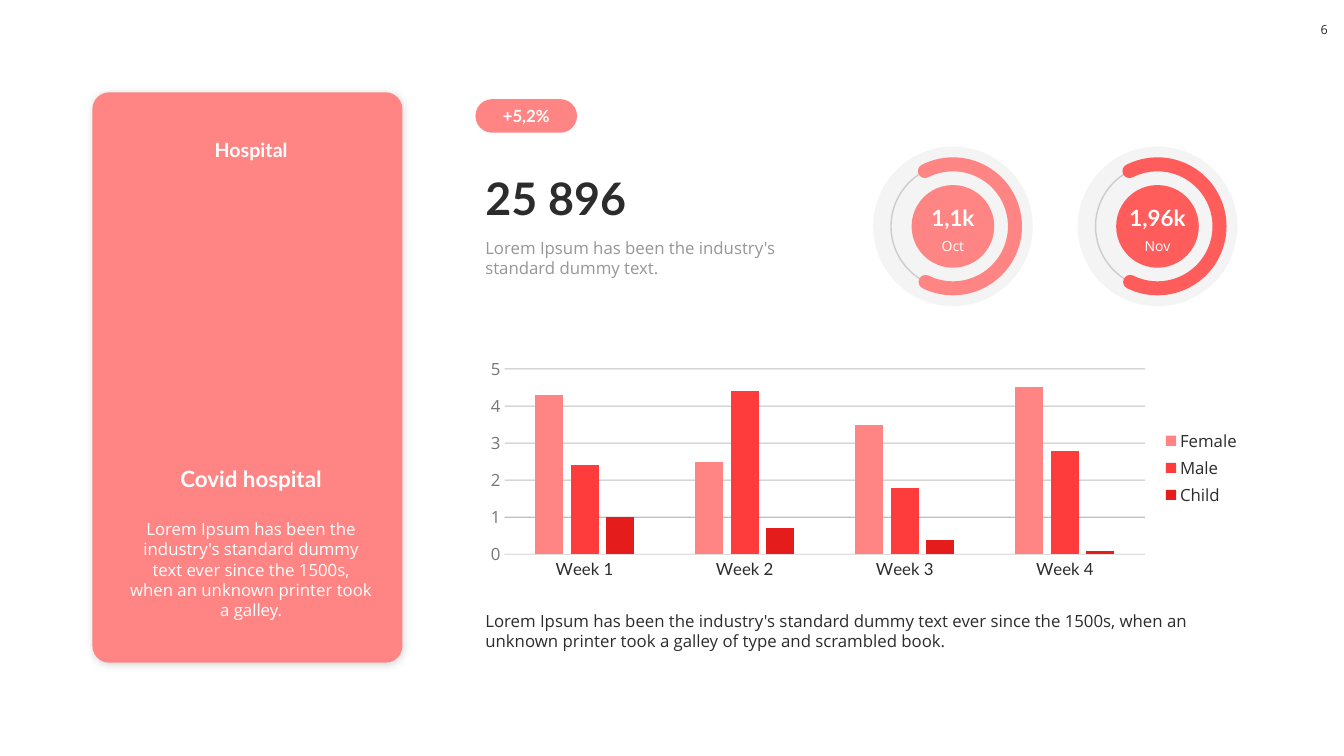
from dataclasses import dataclass

from lxml import etree
from pptx import Presentation
from pptx.chart.data import CategoryChartData
from pptx.dml.color import RGBColor
from pptx.enum.chart import XL_CHART_TYPE, XL_LEGEND_POSITION, XL_TICK_MARK
from pptx.enum.shapes import MSO_SHAPE
from pptx.enum.text import MSO_ANCHOR, MSO_AUTO_SIZE, PP_ALIGN
from pptx.oxml.ns import qn
from pptx.util import Inches, Pt


@dataclass(frozen=True)
class Theme:
    head: str = "Lato"
    body: str = "Open Sans"
    white: str = "FFFFFF"
    ink: str = "2C2C2C"
    grey: str = "969696"
    axis_grey: str = "767676"
    axis_line: str = "DFDFDF"
    coral: str = "FF8585"
    rose: str = "FF5C5C"
    red: str = "FF3C3C"
    crimson: str = "E41C1C"
    tiny: int = 9
    small: int = 10
    text: int = 12
    label: int = 14
    title: int = 16
    figure: int = 32


T = Theme()
COLUMNS, ROWS = 160, 90
CENTER = PP_ALIGN.CENTER


def rgb(value):
    return RGBColor.from_string(value)


def set_font(font, size=T.text, face=T.body, color=T.ink, bold=False):
    font.size, font.name, font.bold = Pt(size), face, bold
    font.color.rgb = rgb(color)


def set_alpha(element, percent):
    for clr in element.iter(qn("a:srgbClr")):
        etree.SubElement(clr, qn("a:alpha"), val=str(percent * 1000))


def write(sp, text, align=PP_ALIGN.LEFT, anchor=MSO_ANCHOR.TOP,
          margins=(0.1, 0.05), wrap=True, **font):
    """Fill a shape with one formatted paragraph; margins are inches (x, y)."""
    tf = sp.text_frame
    tf.word_wrap, tf.auto_size = wrap, MSO_AUTO_SIZE.NONE
    tf.vertical_anchor = anchor
    tf.margin_left = tf.margin_right = Inches(margins[0])
    tf.margin_top = tf.margin_bottom = Inches(margins[1])
    p = tf.paragraphs[0]
    p.alignment = align
    r = p.add_run()
    r.text = text
    set_font(r.font, **font)


class Dashboard:
    def __init__(self, prs):
        self.s = prs.slides.add_slide(prs.slide_layouts[5])
        self.col = prs.slide_width / COLUMNS
        self.row = prs.slide_height / ROWS

    def box(self, x, y, w, h):
        return (round(x * self.col), round(y * self.row),
                round(w * self.col), round(h * self.row))

    def shape(self, kind, at, fill=None, line=None, width=1, adj=(), alpha=None):
        sp = self.s.shapes.add_shape(kind, *self.box(*at))
        sp.shadow.inherit = False
        for i, value in enumerate(adj):
            sp.adjustments[i] = value
        if fill:
            sp.fill.solid()
            sp.fill.fore_color.rgb = rgb(fill)
        else:
            sp.fill.background()
        if line:
            sp.line.color.rgb = rgb(line)
            sp.line.width = Pt(width)
        else:
            sp.line.fill.background()
        if alpha:
            set_alpha(sp.element, alpha)
        return sp

    def text(self, at, text, **style):
        write(self.s.shapes.add_textbox(*self.box(*at)), text, **style)

    def title(self, at, text, **style):
        sp = self.s.shapes.title
        sp.left, sp.top, sp.width, sp.height = self.box(*at)
        write(sp, text, **style)

    def card(self, at):
        """Draw the shadowed panel behind the title."""
        sp = self.shape(MSO_SHAPE.ROUNDED_RECTANGLE, at, T.coral, adj=[0.054])
        effects = sp.element.find(".//" + qn("a:effectLst"))
        shadow = etree.SubElement(effects, qn("a:outerShdw"), blurRad=str(Pt(6)),
                                  dist=str(Pt(1)), dir=str(45 * 60000))
        etree.SubElement(shadow, qn("a:srgbClr"), val="000000")
        set_alpha(shadow, 15)
        self.s.shapes.title.element.addprevious(sp.element)

    def ring(self, cx, cy, value, month, color):
        def circle(d):
            return cx - d / 2, cy - d / 2, d, d

        outer, track, core = 19, 14.76, 9.84
        self.shape(MSO_SHAPE.OVAL, circle(outer), T.ink, alpha=5)
        self.shape(MSO_SHAPE.OVAL, circle(track), line=T.ink, alpha=20)
        # Arc adjustments are angles in units of 5/3 degree.
        arc = self.shape(MSO_SHAPE.ARC, circle(track), line=color, width=10,
                         adj=[243.08 * 0.6, 116.19 * 0.6])
        arc.element.find(".//" + qn("a:ln")).set("cap", "rnd")
        self.shape(MSO_SHAPE.OVAL, circle(core), color)
        left = cx - core / 2
        self.text((left, cy - 3.2, core, 4.4), value, align=CENTER, size=T.title,
                  anchor=MSO_ANCHOR.BOTTOM, face=T.head, color=T.white, bold=True)
        self.text((left, cy + 0.75, core, 3.2), month, align=CENTER,
                  size=T.small, color=T.white)

    def column_chart(self, at, categories, series):
        """Draw clustered columns; series maps a name to (colour, values)."""
        data = CategoryChartData()
        data.categories = categories
        for name, (_, values) in series.items():
            data.add_series(name, values)
        chart = self.s.shapes.add_chart(
            XL_CHART_TYPE.COLUMN_CLUSTERED, *self.box(*at), data).chart
        set_font(chart.font, T.small)
        chart.has_title = False
        chart.has_legend = True
        chart.legend.position = XL_LEGEND_POSITION.RIGHT
        chart.legend.include_in_layout = False
        set_font(chart.legend.font)

        plot = chart.plots[0]
        plot.gap_width, plot.overlap, plot.vary_by_categories = 219, -27, False
        for bars, (color, _) in zip(plot.series, series.values()):
            bars.format.fill.solid()
            bars.format.fill.fore_color.rgb = rgb(color)

        cat, val = chart.category_axis, chart.value_axis
        for axis in (cat, val):
            axis.major_tick_mark = axis.minor_tick_mark = XL_TICK_MARK.NONE
        set_font(cat.tick_labels.font, face=T.head)
        cat.format.line.color.rgb = rgb(T.axis_line)
        cat.format.line.width = Pt(0.75)
        set_font(val.tick_labels.font, color=T.axis_grey)
        val.minimum_scale, val.maximum_scale, val.major_unit = 0, 5, 1
        val.format.line.fill.background()
        grid = val.major_gridlines
        grid.format.line.color.rgb = rgb(T.ink)
        grid.format.line.width = Pt(0.75)
        set_alpha(grid.element.find(qn("c:majorGridlines")), 30)


def main():
    prs = Presentation()
    prs.slide_width, prs.slide_height = Inches(13.33), Inches(7.5)
    d = Dashboard(prs)

    d.card((11, 11, 36.9, 67.9))
    page = d.shape(MSO_SHAPE.ROUNDED_RECTANGLE, (155.3, 1.2, 4.7, 4.7), T.white)
    write(page, "6", align=CENTER, anchor=MSO_ANCHOR.MIDDLE, margins=(0, 0.05),
          wrap=False, size=T.tiny)

    inner, inner_w = 14.2, 31.4
    on_card = dict(align=CENTER, color=T.white)
    d.text((inner, 15.7, inner_w, 4.1), "Hospital", anchor=MSO_ANCHOR.BOTTOM,
           size=T.label, face=T.head, bold=True, **on_card)
    d.title((inner, 54.8, inner_w, 4.4), "Covid hospital",
            size=T.title, face=T.head, bold=True, **on_card)
    d.text((inner, 61.2, inner_w, 10.9),
           "Lorem Ipsum has been the industry's standard dummy text ever since "
           "the 1500s, when an unknown printer took a galley.", **on_card)

    main_x = 56.6
    pill = d.shape(MSO_SHAPE.ROUNDED_RECTANGLE, (main_x, 11.8, 12.1, 4),
                   T.coral, adj=[0.5])
    write(pill, "+5,2%", anchor=MSO_ANCHOR.MIDDLE, margins=(0, 0),
          face=T.head, bold=True, **on_card)
    d.text((main_x, 19.6, 40.3, 7.7), "25 896", anchor=MSO_ANCHOR.BOTTOM,
           size=T.figure, face=T.head, bold=True)
    d.text((main_x, 27.7, 40.3, 6),
           "Lorem Ipsum has been the industry's standard dummy text.", color=T.grey)

    rings = [("1,1k", "Oct", T.coral), ("1,96k", "Nov", T.rose)]
    for i, ring in enumerate(rings):
        d.ring(113.45 + 24.35 * i, 26.95, *ring)

    d.column_chart((main_x, 42, 92.3, 27.4), [f"Week {n}" for n in range(1, 5)], {
        "Female": (T.coral, (4.3, 2.5, 3.5, 4.5)),
        "Male": (T.red, (2.4, 4.4, 1.8, 2.8)),
        "Child": (T.crimson, (1, 0.7, 0.4, 0.1)),
    })
    d.text((main_x, 72.1, 92.4, 6),
           "Lorem Ipsum has been the industry's standard dummy text ever since the "
           "1500s, when an unknown printer took a galley of type and scrambled book.")

    prs.save("out.pptx")


if __name__ == "__main__":
    main()
